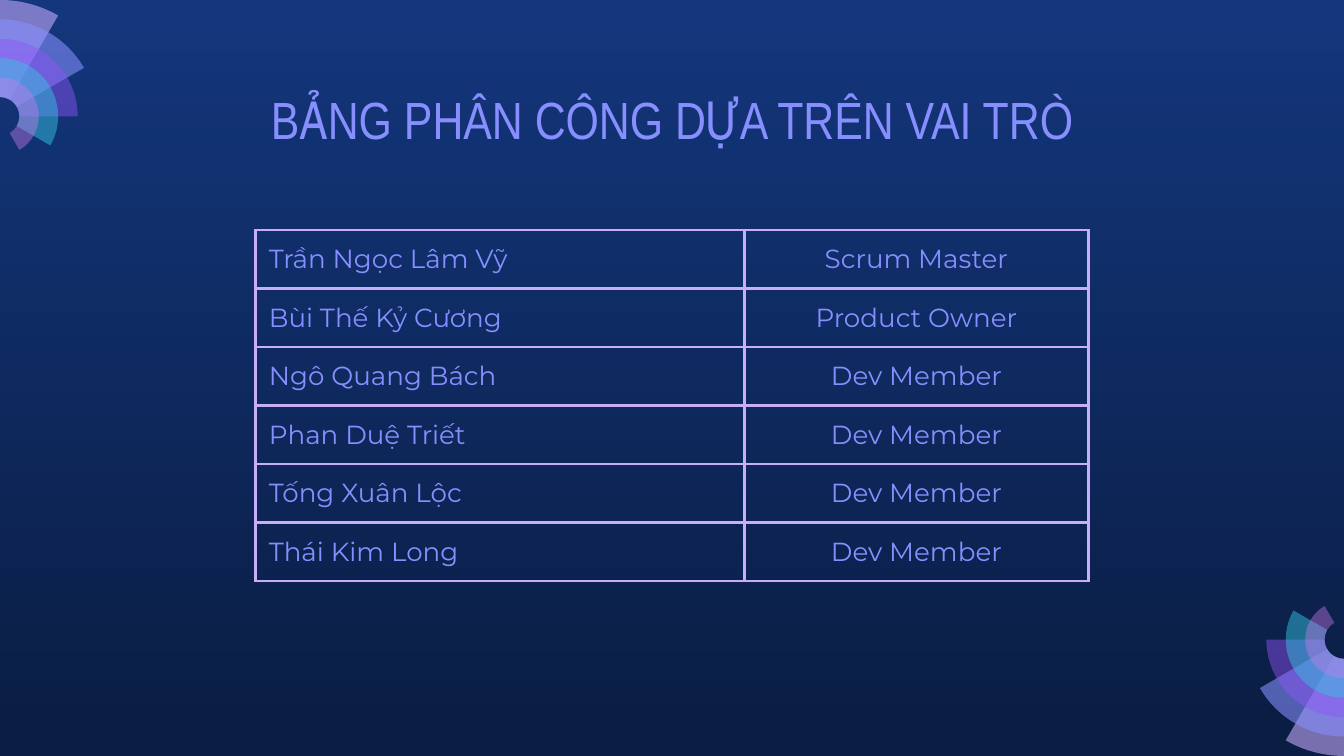
from math import cos, radians, sin, tan

from lxml.etree import SubElement
from pptx import Presentation
from pptx.dml.color import RGBColor
from pptx.enum.text import MSO_ANCHOR, MSO_AUTO_SIZE, PP_ALIGN
from pptx.oxml.ns import qn
from pptx.util import Cm, Pt

TEXT = "878FFF"
BORDER = "C8AEF8"
RINGS = [("C8ACFD", 58), ("878FFF", 58), ("9154F8", 46), ("35C2DF", 49), ("CA7BEB", 42)]
MEMBERS = [
    ("Trần Ngọc Lâm Vỹ", "Scrum Master"),
    ("Bùi Thế Kỷ Cương", "Product Owner"),
    ("Ngô Quang Bách", "Dev Member"),
    ("Phan Duệ Triết", "Dev Member"),
    ("Tống Xuân Lộc", "Dev Member"),
    ("Thái Kim Long", "Dev Member"),
]


def rgb(color):
    """Turn a hex string into a colour."""
    return RGBColor.from_string(color)


def write(tf, text, size=14, font="Montserrat", color=TEXT, align=PP_ALIGN.LEFT):
    """Put one formatted paragraph into a text frame."""
    p = tf.paragraphs[0]
    p.alignment = align
    r = p.add_run()
    r.text = text
    r.font.size = Pt(size)
    r.font.name = font
    r.font.color.rgb = rgb(color)


def set_margins(obj, margin):
    """Give a cell or text frame the same margin on each side."""
    obj.margin_left = obj.margin_right = margin
    obj.margin_top = obj.margin_bottom = margin


def add_background(s, top_color, bottom_color):
    """Fill the slide with a gradient from top to bottom."""
    fill = s.background.fill
    fill.gradient()
    fill.gradient_angle = 270
    for stop, position, color in zip(fill.gradient_stops, (0, 1), (top_color, bottom_color)):
        stop.position = position
        stop.color.rgb = rgb(color)


def bend(segment, points):
    """Turn a line segment into a curve through the given control and end points."""
    segment.tag = qn("a:cubicBezTo")
    segment.remove(segment[0])
    for x, y in points:
        SubElement(segment, qn("a:pt"), x=str(round(x)), y=str(round(y)))


def add_ring(group, cx, cy, inner, outer, start, sweep, color, alpha):
    """Draw a translucent ring sector, with angles clockwise from the top."""
    def point(radius, angle):
        a = radians(angle)
        return cx + radius * sin(a), cy - radius * cos(a)

    def controls(radius, a, b):
        reach = 4 / 3 * tan(radians(b - a) / 4) * radius
        (x1, y1), (x2, y2) = point(radius, a), point(radius, b)
        return [(x1 + reach * cos(radians(a)), y1 + reach * sin(radians(a))),
                (x2 - reach * cos(radians(b)), y2 - reach * sin(radians(b))), (x2, y2)]

    angles = [start + a for a in sorted({0, min(90, sweep), sweep})]
    nodes = [(outer, a) for a in angles] + [(inner, a) for a in reversed(angles)]
    corners = [tuple(map(round, point(*node))) for node in nodes]
    builder = group.shapes.build_freeform(*corners[0])
    builder.add_line_segments(corners[1:], close=True)
    sp = builder.convert_to_shape()
    left, top = min(x for x, _ in corners), min(y for _, y in corners)
    segments = list(sp._element.iter(qn("a:lnTo")))
    for segment, (r1, a), (r2, b) in zip(segments, nodes, nodes[1:]):
        if r1 == r2:
            bend(segment, [(x - left, y - top) for x, y in controls(r1, a, b)])
    sp.shadow.inherit = False
    sp.line.fill.background()
    sp.fill.solid()
    sp.fill.fore_color.rgb = rgb(color)
    clr = sp.fill._xPr.find(".//" + qn("a:srgbClr"))
    SubElement(clr, qn("a:alpha"), val=str(alpha * 1000))


def add_fan(s, cx, cy, radius, start):
    """Group rings that shrink in radius as their sweep widens."""
    group = s.shapes.add_group_shape()
    step = radius / (len(RINGS) + 1)
    for i, (color, alpha) in enumerate(RINGS):
        add_ring(group, cx, cy, step, radius - i * step, start, 30 * (i + 1), color, alpha)


def add_title(s, text, left, top, width, height):
    """Place and format the title placeholder."""
    sp = s.shapes.title
    sp.left, sp.top, sp.width, sp.height = left, top, width, height
    tf = sp.text_frame
    tf.word_wrap = True
    tf.auto_size = MSO_AUTO_SIZE.NONE
    tf.vertical_anchor = MSO_ANCHOR.BOTTOM
    set_margins(tf, Cm(0.25))
    write(tf, text, size=28, font="Arial Narrow", align=PP_ALIGN.CENTER)


def set_borders(cell, color, width):
    """Draw the four borders of a cell."""
    tc_pr = cell._tc.get_or_add_tcPr()
    for side in ("lnL", "lnR", "lnT", "lnB"):
        ln = SubElement(tc_pr, qn(f"a:{side}"), w=str(Pt(width)))
        SubElement(SubElement(ln, qn("a:solidFill")), qn("a:srgbClr"), val=color)


def add_roles_table(s, members, left, top, width, height):
    """Add the table of members and their roles."""
    frame = s.shapes.add_table(len(members), 2, left, top, width, height)
    table = frame.table
    table.first_row = table.horz_banding = False
    table.columns[1].width = Cm(6.5)
    table.columns[0].width = width - table.columns[1].width
    for row, member in enumerate(members):
        for col, align in enumerate((PP_ALIGN.LEFT, PP_ALIGN.CENTER)):
            cell = table.cell(row, col)
            set_margins(cell, Cm(0.25))
            set_borders(cell, BORDER, 1.5)
            cell.fill.background()
            write(cell.text_frame, member[col], align=align)


def main():
    """Build the slide and save it."""
    prs = Presentation()
    prs.slide_width, prs.slide_height = Cm(25.4), Cm(14.29)
    s = prs.slides.add_slide(prs.slide_layouts[5])
    add_background(s, "13367C", "0A1D42")
    radius = Cm(2.2)
    add_fan(s, prs.slide_width, prs.slide_height - radius, radius, start=180)
    add_fan(s, 0, radius, radius, start=0)
    add_roles_table(s, MEMBERS, Cm(4.83), Cm(4.35), Cm(15.74), Cm(6.64))
    add_title(s, "BẢNG PHÂN CÔNG DỰA TRÊN VAI TRÒ", Cm(2), Cm(1.48), Cm(21.4), Cm(1.6))
    prs.save("out.pptx")


if __name__ == "__main__":
    main()
